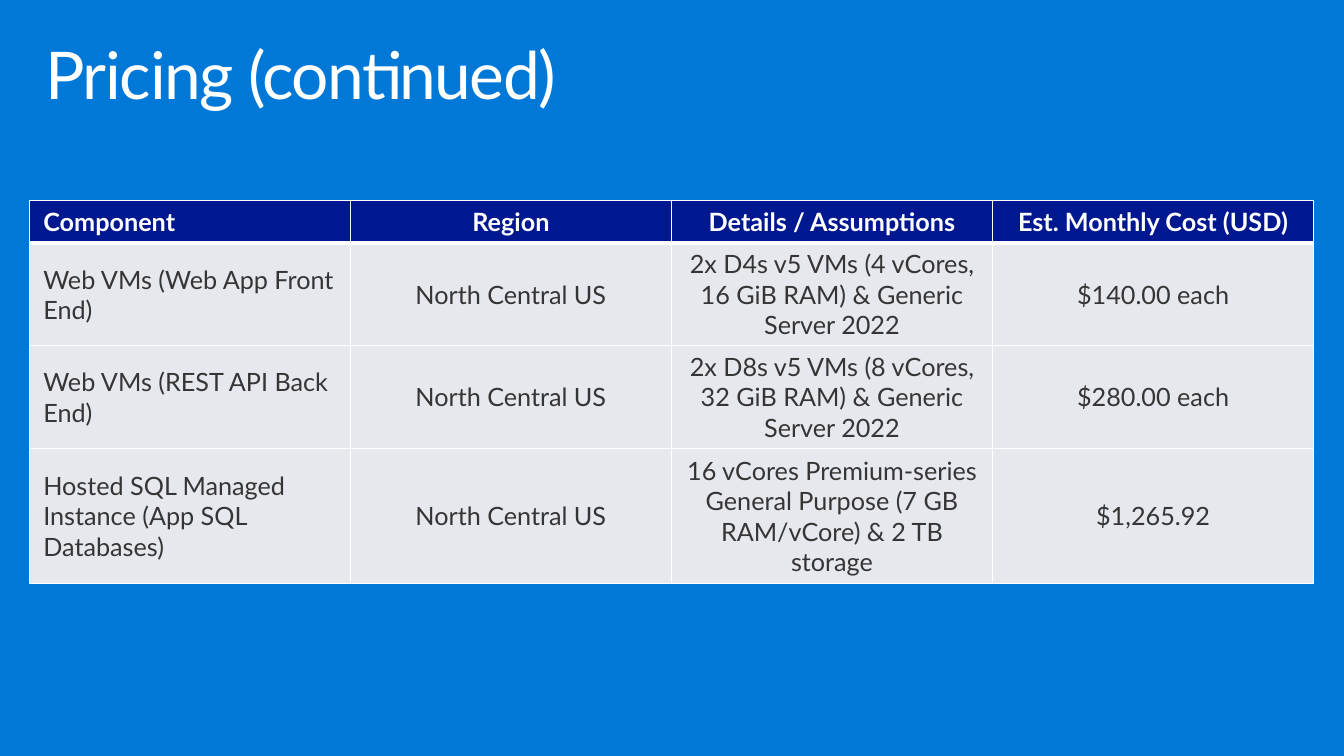
from lxml import etree
from pptx import Presentation
from pptx.dml.color import RGBColor
from pptx.enum import text
from pptx.oxml import ns
from pptx.util import Inches, Pt

BLUE = RGBColor(0x00, 0x78, 0xD7)
NAVY = RGBColor(0x00, 0x18, 0x8F)
PALE = RGBColor(0xE7, 0xE8, 0xEE)
DARK = RGBColor(0x35, 0x35, 0x35)
WHITE = RGBColor(0xFF, 0xFF, 0xFF)
FONT = "Lato"

PRICING = [
    ("Component", "Region", "Details / Assumptions", "Est. Monthly Cost (USD)"),
    ("Web VMs (Web App Front End)", "North Central US",
     "2x D4s v5 VMs (4 vCores, 16 GiB RAM) & Generic Server 2022", "$140.00 each"),
    ("Web VMs (REST API Back End)", "North Central US",
     "2x D8s v5 VMs (8 vCores, 32 GiB RAM) & Generic Server 2022", "$280.00 each"),
    ("Hosted SQL Managed Instance (App SQL Databases)", "North Central US",
     "16 vCores Premium-series General Purpose (7 GB RAM/vCore) & 2 TB storage",
     "$1,265.92"),
]
ROW_HEIGHTS = [0.42, 1.02, 1.02, 1.34]


def style_font(font, size, color, bold=False):
    font.name = FONT
    font.size = Pt(size)
    font.bold = bold
    font.color.rgb = color


def add_title(slide, wording):
    title = slide.shapes.title
    title.left, title.top = Inches(0.29), Inches(0.32)
    title.width, title.height = Inches(12.75), Inches(0.98)
    frame = title.text_frame
    frame.text = wording
    frame.word_wrap = True
    frame.auto_size = text.MSO_AUTO_SIZE.NONE
    frame.vertical_anchor = text.MSO_ANCHOR.TOP
    frame.margin_left = frame.margin_right = Inches(0.16)
    frame.margin_top = frame.margin_bottom = Inches(0.1)
    heading = frame.paragraphs[0]
    heading.alignment = text.PP_ALIGN.LEFT
    heading.line_spacing = 0.9
    style_font(heading.font, 47, WHITE)
    heading.runs[0].font.language_id = None
    heading.runs[0]._r.get_or_add_rPr().set("spc", "-100")


def set_border(cell, side, width):
    line = etree.SubElement(cell._tc.get_or_add_tcPr(), ns.qn(f"a:ln{side}"),
                            w=str(Pt(width)))
    fill = etree.SubElement(line, ns.qn("a:solidFill"))
    etree.SubElement(fill, ns.qn("a:srgbClr"), val=str(WHITE))


def fill_cell(cell, wording, row, column):
    is_header = row == 0
    for side in "LRTB":
        under_header = (row, side) in ((0, "B"), (1, "T"))
        set_border(cell, side, 3 if under_header else 1)
    cell.fill.solid()
    cell.fill.fore_color.rgb = NAVY if is_header else PALE
    cell.vertical_anchor = text.MSO_ANCHOR.MIDDLE
    cell.margin_left = cell.margin_right = Inches(0.14)
    cell.margin_top = cell.margin_bottom = Inches(0.06)
    cell.text = wording
    entry = cell.text_frame.paragraphs[0]
    entry.alignment = text.PP_ALIGN.CENTER if column else text.PP_ALIGN.LEFT
    style_font(entry.font, 18, WHITE if is_header else DARK, is_header)


def add_pricing_table(slide):
    pricing = slide.shapes.add_table(
        len(PRICING), len(PRICING[0]), Inches(0.29), Inches(1.99),
        Inches(12.74), Inches(sum(ROW_HEIGHTS))).table
    for row, (height, wordings) in enumerate(zip(ROW_HEIGHTS, PRICING)):
        pricing.rows[row].height = Inches(height)
        for column, wording in enumerate(wordings):
            fill_cell(pricing.cell(row, column), wording, row, column)


def main():
    deck = Presentation()
    deck.slide_width, deck.slide_height = Inches(13.33), Inches(7.5)
    slide = deck.slides.add_slide(deck.slide_layouts[5])
    slide.background.fill.solid()
    slide.background.fill.fore_color.rgb = BLUE
    add_title(slide, "Pricing (continued)")
    add_pricing_table(slide)
    deck.save("out.pptx")


if __name__ == "__main__":
    main()
